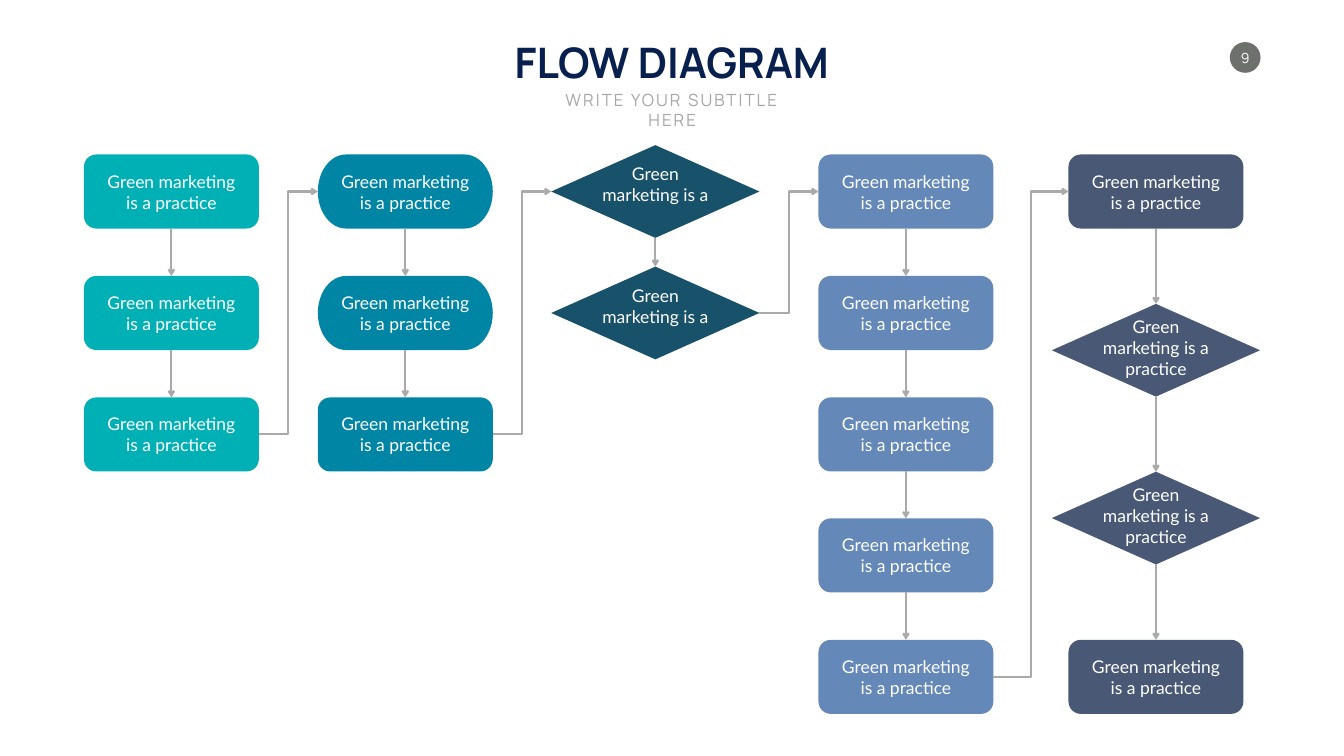
from lxml import etree
from pptx import Presentation
from pptx.dml.color import RGBColor
from pptx.enum.shapes import MSO_CONNECTOR, MSO_SHAPE
from pptx.enum.text import MSO_ANCHOR, MSO_AUTO_SIZE, PP_ALIGN
from pptx.oxml.ns import qn
from pptx.util import Emu, Pt

BOX = MSO_SHAPE.FLOWCHART_ALTERNATE_PROCESS
PILL = MSO_SHAPE.FLOWCHART_TERMINATOR
DIAMOND = MSO_SHAPE.DIAMOND
OVAL = MSO_SHAPE.OVAL
STRAIGHT, ELBOW = MSO_CONNECTOR.STRAIGHT, MSO_CONNECTOR.ELBOW
TOP, MIDDLE = MSO_ANCHOR.TOP, MSO_ANCHOR.MIDDLE
TOP_SIDE, LEFT_SIDE, BOTTOM_SIDE, RIGHT_SIDE = range(4)

# Content: each step is (shape, centre y, text)
TITLE = "FLOW DIAGRAM"
SUBTITLE = "WRITE YOUR SUBTITLE HERE"
PAGE = "9"
FULL = "Green marketing is a practice"
SHORT = "Green marketing is a"
ROWS = [round(380 + 240.75 * i) for i in range(5)]
COLUMNS = [
    {"x": 340, "color": "00B0B5", "steps": [(BOX, y, FULL) for y in ROWS[:3]]},
    {"x": 804, "color": "0085A4",
     "steps": [(PILL, ROWS[0], FULL), (PILL, ROWS[1], FULL), (BOX, ROWS[2], FULL)]},
    {"x": 1300, "color": "18526A", "steps": [(DIAMOND, y, SHORT) for y in ROWS[:2]]},
    {"x": 1797, "color": "6488B7", "steps": [(BOX, y, FULL) for y in ROWS]},
    {"x": 2293, "color": "495975",
     "steps": [(BOX, ROWS[0], FULL), (DIAMOND, 695, FULL),
               (DIAMOND, 1028, FULL), (BOX, ROWS[4], FULL)]},
]

THEME = {
    "heading": "Manrope", "body": "Lato",
    "title": "08204D", "subtitle": "A6A6A6", "line": "AAAAAA",
    "badge": "6D706D", "light": "FFFFFF",
    "title_pt": 60, "subtitle_pt": 24, "step_pt": 25, "page_pt": 20, "line_pt": 3,
}

# Geometry in px, 100 to the inch
SIZES = {BOX: (347, 147), PILL: (347, 147), DIAMOND: (413, 184)}
SIDE_INSETS = {BOX: 27, PILL: 18}
# Diamond labels: (height, shift from the diamond's centre)
DIAMOND_LABELS = {SHORT: (94, -14), FULL: (136, -5)}
LABEL_W = 260


def px(n):
    return Emu(int(n * 9144))


def centred(x, y, w, h):
    return px(x - w / 2), px(y - h / 2), px(w), px(h)


def write(shape, text, font, size, color, inset=10, inset_y=5, anchor=MIDDLE,
          wrap=True, bold=False):
    tf = shape.text_frame
    tf.text = text
    tf.word_wrap, tf.auto_size, tf.vertical_anchor = wrap, MSO_AUTO_SIZE.NONE, anchor
    tf.margin_left = tf.margin_right = px(inset)
    tf.margin_top = tf.margin_bottom = px(inset_y)
    p = tf.paragraphs[0]
    p.alignment = PP_ALIGN.CENTER
    p.space_before, p.line_spacing = Pt(0), 1.0
    r = p.runs[0]
    r.font.name, r.font.size, r.font.bold = font, Pt(size), bold
    r.font.color.rgb = RGBColor.from_string(color)
    return r


def add_filled(s, kind, color, x, y, w, h):
    sp = s.shapes.add_shape(kind, *centred(x, y, w, h))
    sp.shadow.inherit = False
    sp.fill.solid()
    sp.fill.fore_color.rgb = RGBColor.from_string(color)
    sp.line.fill.background()
    return sp


def add_step(s, x, color, kind, y, text):
    sp = add_filled(s, kind, color, x, y, *SIZES[kind])
    label, inset = sp, SIDE_INSETS.get(kind, 10)
    if kind == DIAMOND:  # the label is wider than the diamond's own text area
        h, shift = DIAMOND_LABELS[text]
        label = s.shapes.add_textbox(*centred(x, y + shift, LABEL_W, h))
    write(label, text, THEME["body"], THEME["step_pt"], THEME["light"], inset)
    return sp


def add_arrow(s, kind, start, start_side, end, end_side):
    c = s.shapes.add_connector(kind, 0, 0, 0, 0)
    c.begin_connect(start, start_side)
    c.end_connect(end, end_side)
    c.line.color.rgb = RGBColor.from_string(THEME["line"])
    c.line.width = Pt(THEME["line_pt"])
    etree.SubElement(c.line._get_or_add_ln(), qn("a:tailEnd"), type="arrow")
    etree.SubElement(c._element.spPr, qn("a:effectLst"))


def place(shape, left, top, width, height):
    shape.left, shape.top, shape.width, shape.height = map(px, (left, top, width, height))


def main():
    prs = Presentation()
    prs.slide_width, prs.slide_height = px(2666), px(1500)
    s = prs.slides.add_slide(prs.slide_layouts[0])

    # Heading
    title, subtitle = s.placeholders
    place(title, 990, 67, 685, 111)
    write(title, TITLE, THEME["heading"], THEME["title_pt"], THEME["title"],
          anchor=TOP, wrap=False, bold=True)
    place(subtitle, 1062, 172, 543, 50)
    r = write(subtitle, SUBTITLE, THEME["heading"], THEME["subtitle_pt"],
              THEME["subtitle"], anchor=TOP)
    r.font._element.set("spc", "300")

    # Page number
    badge = add_filled(s, OVAL, THEME["badge"], 2470, 114, 61, 61)
    write(badge, PAGE, THEME["heading"], THEME["page_pt"], THEME["light"],
          inset=0, inset_y=0, wrap=False)

    # Steps
    flow = [[add_step(s, col["x"], col["color"], *step) for step in col["steps"]]
            for col in COLUMNS]

    # Arrows down each column, then from its last step to the next column
    for steps in flow:
        for a, b in zip(steps, steps[1:]):
            add_arrow(s, STRAIGHT, a, BOTTOM_SIDE, b, TOP_SIDE)
    for steps, following in zip(flow, flow[1:]):
        add_arrow(s, ELBOW, steps[-1], RIGHT_SIDE, following[0], LEFT_SIDE)

    prs.save("out.pptx")


if __name__ == "__main__":
    main()
